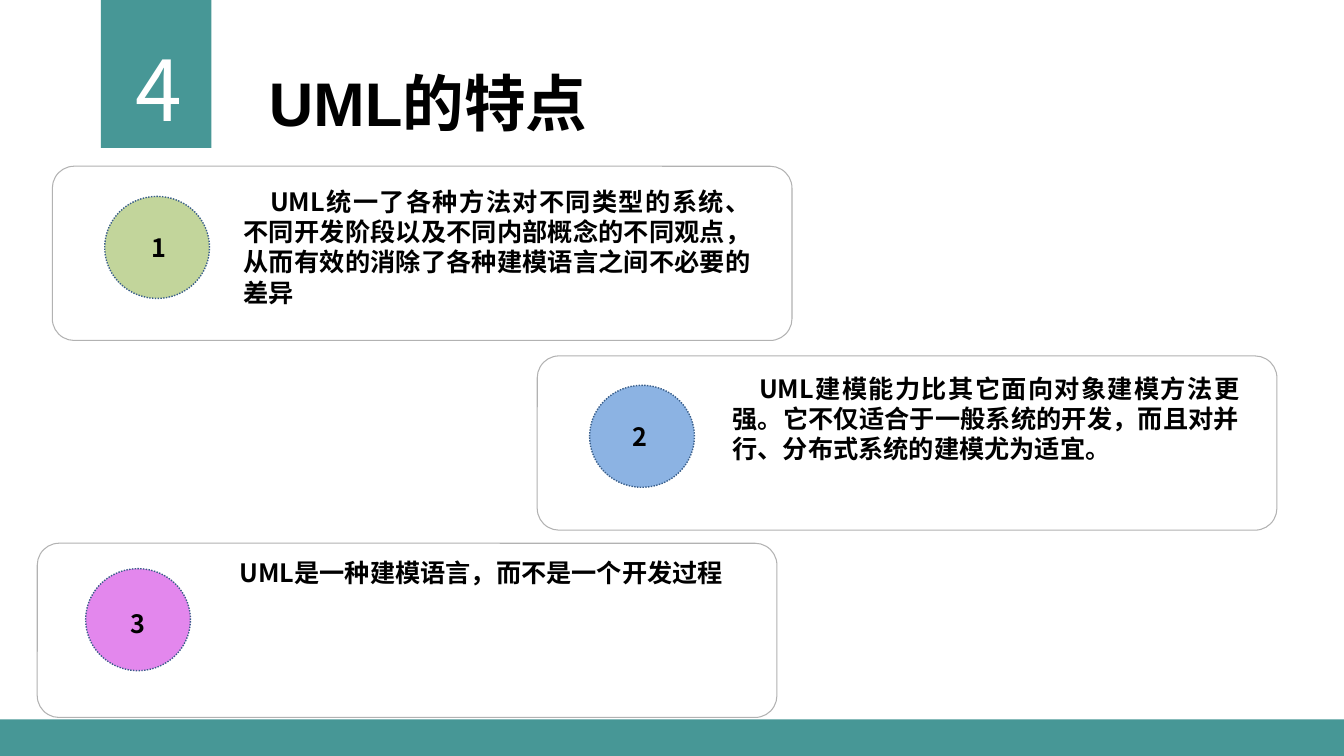
import pptx
import pptx.dml.color
import pptx.enum.dml
import pptx.enum.shapes
import pptx.enum.text
import pptx.oxml
import pptx.oxml.ns
import pptx.util

Cm, Pt = pptx.util.Cm, pptx.util.Pt
SHAPE = pptx.enum.shapes.MSO_SHAPE
ALIGN = pptx.enum.text.PP_ALIGN

COLOURS = {"teal": "479796", "white": "FFFFFF", "black": "000000",
           "card line": "B2B2B2", "badge line": "395E8A",
           "green": "C2D59B", "blue": "8CB3E3", "pink": "E387ED"}
SANS = "Noto Sans CJK SC"

SECTION = "4"
TITLE = "UML的特点"
# Positions are left, top in cm; those of badge, number and text are from the card corner.
FEATURES = [
    {"card": (1.32, 4.19), "badge": (1.32, 0.76), "number": (2.24, 1.55),
     "body": (4.57, 0.38), "height": 3.33, "indent": 0.67, "fill": "green",
     "text": "UML统一了各种方法对不同类型的系统、不同开发阶段以及不同内部概念的不同观点，"
             "从而有效的消除了各种建模语言之间不必要的差异"},
    {"card": (13.54, 8.97), "badge": (1.32, 0.74), "number": (2.16, 1.52),
     "body": (4.67, 0.3), "height": 2.57, "indent": 0.67, "fill": "blue",
     "text": "UML建模能力比其它面向对象建模方法更强。它不仅适合于一般系统的开发，"
             "而且对并行、分布式系统的建模尤为适宜。"},
    {"card": (0.94, 13.69), "badge": (1.22, 0.64), "number": (2.11, 1.52),
     "body": (4.55, 0.23), "height": 1.02, "indent": 0.3, "fill": "pink",
     "text": "UML是一种建模语言，而不是一个开发过程"},
]
CARD_SIZE = (18.64, 4.39)
BADGE_SIZE = (2.64, 2.57)
NUMBER_SIZE = (0.91, 1.02)
BODY_WIDTH = 13.28


def rgb(name):
    return pptx.dml.color.RGBColor.from_string(COLOURS[name])


def add_box(shapes, kind, pos, size, fill, line=None, width=0.75):
    sp = shapes.add_shape(kind, *map(Cm, pos + size))
    sp.shadow.inherit = False
    sp.fill.solid()
    sp.fill.fore_color.rgb = rgb(fill)
    if line:
        sp.line.color.rgb = rgb(line)
        sp.line.width = Pt(width)
    else:
        sp.line.fill.background()
    return sp


def add_text(shapes, pos, size, text, points=18, font=SANS, east_font=SANS,
             colour="black", bold=True, align=ALIGN.LEFT, wrap=True, indent=0):
    sp = shapes.add_textbox(*map(Cm, pos + size))
    tf = sp.text_frame
    tf.word_wrap = wrap
    p = tf.paragraphs[0]
    p.alignment = align
    if indent:
        pPr = p._p.get_or_add_pPr()
        pPr.set("marL", "0")
        pPr.set("indent", str(int(Cm(indent))))
    r = p.add_run()
    r.text = text
    r.font.size = Pt(points)
    r.font.bold = bold
    r.font.color.rgb = rgb(colour)
    r.font.name = font
    ea = pptx.oxml.parse_xml(
        f'<a:ea {pptx.oxml.ns.nsdecls("a")} typeface="{east_font}"/>')
    r.font._element.find(pptx.oxml.ns.qn("a:latin")).addnext(ea)


def add_feature(slide, number, feature):
    shapes = slide.shapes.add_group_shape().shapes
    left, top = feature["card"]

    def place(part):
        dx, dy = feature[part]
        return left + dx, top + dy

    card = add_box(shapes, SHAPE.ROUNDED_RECTANGLE, feature["card"], CARD_SIZE,
                   "white", "card line")
    card.adjustments[0] = 0.125
    badge = add_box(shapes, SHAPE.OVAL, place("badge"), BADGE_SIZE,
                    feature["fill"], "badge line", 1)
    badge.line.dash_style = pptx.enum.dml.MSO_LINE.ROUND_DOT
    add_text(shapes, place("number"), NUMBER_SIZE, str(number), wrap=False)
    add_text(shapes, place("body"), (BODY_WIDTH, feature["height"]), feature["text"],
             align=ALIGN.JUSTIFY, indent=feature["indent"])


def main():
    prs = pptx.Presentation()
    prs.slide_width, prs.slide_height = Cm(33.87), Cm(19.05)
    s = prs.slides.add_slide(prs.slide_layouts[6])

    add_box(s.shapes, SHAPE.RECTANGLE, (2.54, 0), (2.79, 3.73), "teal")
    add_text(s.shapes, (2.62, 0.81), (2.79, 2.82), SECTION, 60, "Noto Sans CJK KR",
             "Noto Sans CJK KR", "white", False, ALIGN.CENTER)
    add_text(s.shapes, (6.53, 1.5), (17.6, 2.13), TITLE, 44, "Arial")
    add_box(s.shapes, SHAPE.RECTANGLE, (0, 18.13), (33.87, 0.92), "teal")
    for number, feature in enumerate(FEATURES, 1):
        add_feature(s, number, feature)

    prs.save("out.pptx")


if __name__ == "__main__":
    main()
